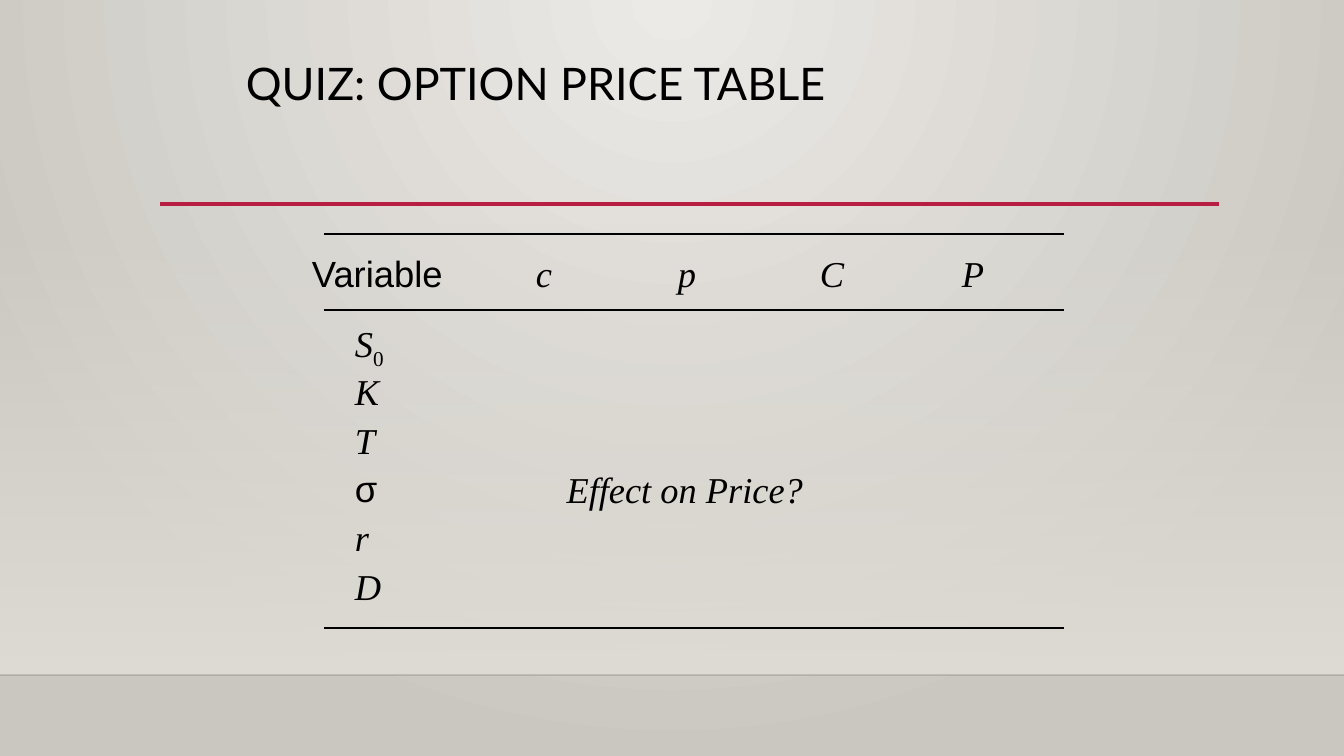
import pptx
import pptx.dml.color
import pptx.enum.shapes
import pptx.enum.text
import pptx.oxml
import pptx.oxml.ns
import pptx.util

EMU_PER_PX = 914400 / 100.8
SERIF = "Times New Roman"
BLACK = "000000"


def px(length):
    return pptx.util.Emu(round(length * EMU_PER_PX))


def color(value):
    return pptx.dml.color.RGBColor.from_string(value)


def add_xml(parent, tag, **attributes):
    element = pptx.oxml.parse_xml(f"<{tag} {pptx.oxml.ns.nsdecls('a')}/>")
    for name, value in attributes.items():
        element.set(name, str(value))
    parent.append(element)
    return element


def set_alpha(element, percents):
    color_elements = element.iter(pptx.oxml.ns.qn("a:srgbClr"))
    for color_element, percent in zip(color_elements, percents):
        add_xml(color_element, "a:alpha", val=percent * 1000)


def set_gradient(fill, start, end):
    fill.gradient()
    for stop, value in zip(fill.gradient_stops, (start, end)):
        stop.color.rgb = color(value)


def paint_background(slide):
    set_gradient(slide.background.fill, "ECEAE7", "CAC7C1")
    gradient = slide._element.find(".//" + pptx.oxml.ns.qn("a:gradFill"))
    gradient.remove(gradient.find(pptx.oxml.ns.qn("a:lin")))
    circle = add_xml(gradient, "a:path", path="circle")
    add_xml(circle, "a:fillToRect", l=43000, t=0, r=43000, b=100000)


def add_fading_panel(slide, left, top, width, height):
    shape = slide.shapes.add_shape(
        pptx.enum.shapes.MSO_SHAPE.RECTANGLE, px(left), px(top), px(width), px(height)
    )
    shape.shadow.inherit = False
    shape.line.fill.background()
    set_gradient(shape.fill, "DFDBD5", "DFDBD5")
    shape.fill.gradient_angle = 270
    set_alpha(shape._element.spPr, (0, 100))


def add_rule(slide, left, right, y, value, weight):
    connector = slide.shapes.add_connector(
        pptx.enum.shapes.MSO_CONNECTOR.STRAIGHT, px(left), px(y), px(right), px(y)
    )
    connector.line.color.rgb = color(value)
    connector.line.width = pptx.util.Pt(weight)
    add_xml(connector._element.spPr, "a:effectLst")
    return connector


def add_text(slide, left, top, width, height, text, size=26, font=SERIF,
             italic=False, subscript="", wrap=False):
    shape = slide.shapes.add_textbox(px(left), px(top), px(width), px(height))
    shape.text_frame.word_wrap = wrap
    paragraph = shape.text_frame.paragraphs[0]
    for content, lowered in ((text, False), (subscript, True)):
        if content:
            run = paragraph.add_run()
            run.text = content
            run.font.name = font
            run.font.size = pptx.util.Pt(size)
            run.font.italic = italic and not lowered
            run.font.color.rgb = color(BLACK)
            if lowered:
                run.font._element.set("baseline", "-25000")
    return paragraph


def add_option_table(slide):
    for y, weight in ((234, 2), (310, 1.5), (628, 2)):
        add_rule(slide, 324, 1064, y, BLACK, weight)

    add_text(slide, 302, 246, 153, 53, "Variable", font="Arial")
    options = (("c", 36), ("p", 38), ("C", 44), ("P", 42))
    for column, (option, width) in enumerate(options):
        add_text(slide, 526 + 142 * column, 246, width, 54, option, italic=True)

    variables = (("S", 50, "0"), ("K", 44, ""), ("T", 40, ""),
                 ("σ", 42, ""), ("r", 34, ""), ("D", 46, ""))
    for row, (variable, width, subscript) in enumerate(variables):
        is_greek = variable == "σ"
        add_text(slide, 345, 316 + 243 * row // 5, width, 54, variable,
                 font="Arial" if is_greek else SERIF,
                 italic=not is_greek, subscript=subscript)

    question = add_text(slide, 454, 462, 462, 53, "Effect on Price?",
                        italic=True, wrap=True)
    question.alignment = pptx.enum.text.PP_ALIGN.CENTER


def main():
    presentation = pptx.Presentation()
    presentation.slide_width = px(1344)
    presentation.slide_height = px(756)
    slide = presentation.slides.add_slide(presentation.slide_layouts[6])

    paint_background(slide)
    add_fading_panel(slide, 0, 223, 1344, 452)
    floor_line = add_rule(slide, 0, 1344, 675, "000001", 1)
    set_alpha(floor_line._element.spPr, (20,))
    add_rule(slide, 160, 1219, 204, "B71E42", 2.5)

    title = add_text(slide, 236, 57, 863, 118, "QUIZ: OPTION PRICE TABLE",
                     size=32, font="Lato", wrap=True)
    title.line_spacing = 0.9
    add_option_table(slide)
    presentation.save("out.pptx")


if __name__ == "__main__":
    main()
